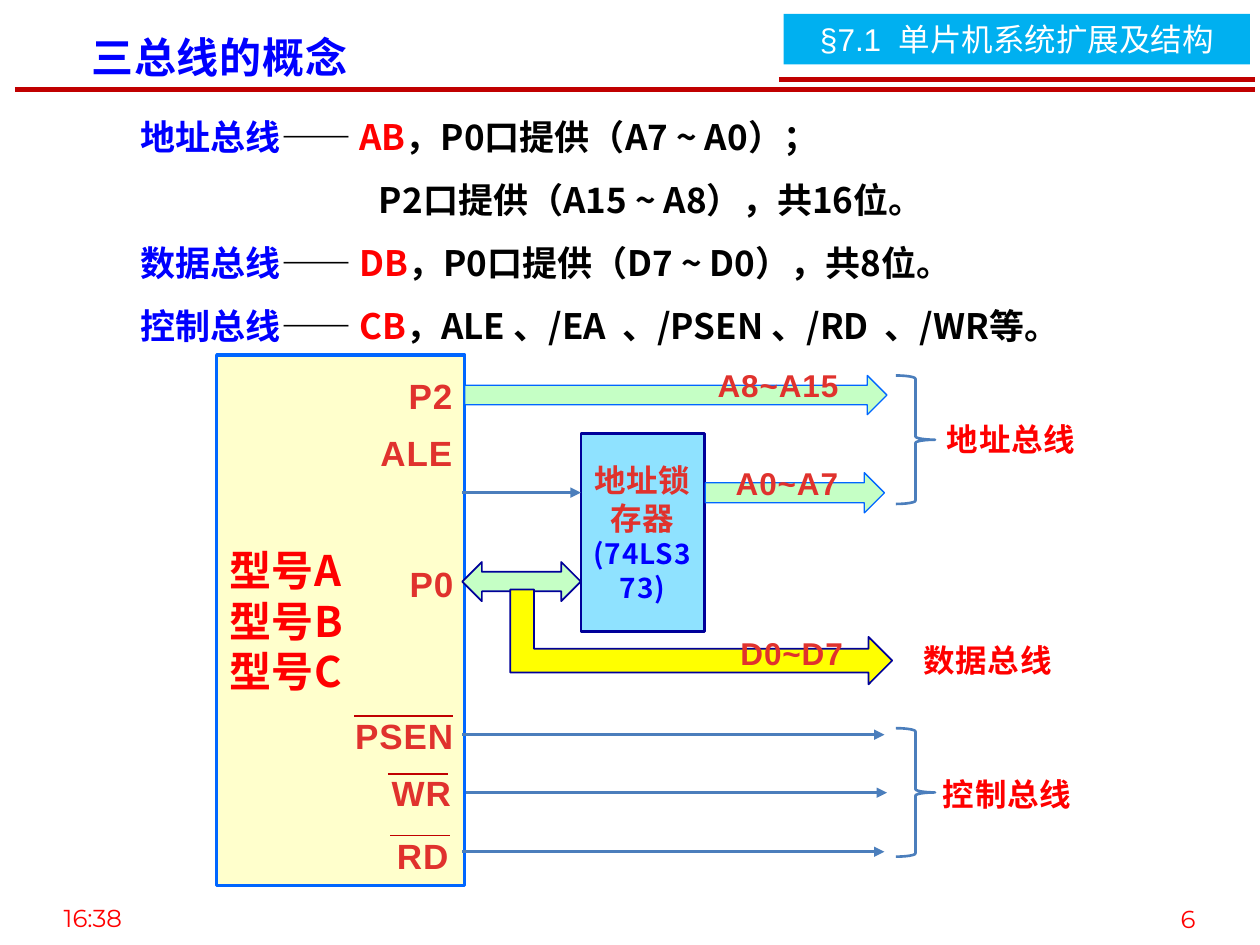
from lxml import etree
from pptx import Presentation
from pptx.dml.color import RGBColor
from pptx.enum import shapes, text
from pptx.oxml.ns import qn
from pptx.util import Cm, Pt

RED, BLUE = RGBColor(255, 0, 0), RGBColor(0, 0, 255)
BLACK, WHITE = RGBColor(0, 0, 0), RGBColor(255, 255, 255)
BRICK, CRIMSON = RGBColor(0xE0, 0x32, 0x2D), RGBColor(0xC0, 0, 0)
STEEL, AZURE = RGBColor(0x4B, 0x7E, 0xBC), RGBColor(0, 0x66, 255)
NAVY, SKY = RGBColor(0, 0, 0x99), RGBColor(0, 0xB0, 0xF0)
CREAM, MINT = RGBColor(255, 255, 0xCC), RGBColor(0xC5, 255, 0xC5)
ICE, YELLOW = RGBColor(0x8F, 0xE2, 255), RGBColor(255, 255, 0)

CJK, LATIN, FOOTER = "Noto Sans CJK SC", "Arial", "Montserrat"
KIND, ALIGN, ANCHOR = shapes.MSO_SHAPE, text.PP_ALIGN, text.MSO_ANCHOR

# Runs are (text, colour) pairs, one list per paragraph
SUMMARY = [
    [("地址总线", BLUE), ("—— ", BLACK), ("AB", RED), ("，P0口提供（A7 ~ A0）；", BLACK)],
    [("P2口提供（A15 ~ A8），共16位。", BLACK)],
    [("数据总线", BLUE), ("—— ", BLACK), ("DB", RED), ("，P0口提供（D7 ~ D0），共8位。", BLACK)],
    [("控制总线", BLUE), ("—— ", BLACK), ("CB", RED),
     ("，ALE 、/EA  、/PSEN 、/RD  、/WR等。", BLACK)],
]
CHIPS = ["型号A", "型号B", "型号C"]

# name, top, right edge, overline (left, right, y)
PINS = [
    ("P2", 7.54, 9.12, None),
    ("ALE", 8.69, 9.12, None),
    ("P0", 11.33, 9.14, None),
    ("PSEN", 14.4, 9.14, (7.14, 9.14, 14.43)),
    ("WR", 15.54, 9.09, (7.82, 9.04, 15.6)),
    ("RD", 16.81, 9.04, (7.87, 9.07, 16.84)),
]
# kind, position, fill, line colour, line width, rotation
BUS_ARROWS = [
    (KIND.RIGHT_ARROW, (9.37, 7.57, 8.51, 0.79), MINT, AZURE, 0.75, 0),
    (KIND.LEFT_RIGHT_ARROW, (9.32, 11.33, 2.39, 0.79), MINT, NAVY, 1, 0),
    (KIND.RIGHT_ARROW, (14.22, 9.53, 3.61, 0.81), MINT, AZURE, 0.75, 0),
    (KIND.BENT_UP_ARROW, (13.18, 8.99, 1.91, 7.7), YELLOW, NAVY, 1, 90),
]
# left, right, y
SIGNALS = [(9.32, 11.71, 9.93), (9.32, 17.83, 14.81), (9.4, 17.88, 15.98), (9.32, 17.83, 17.17)]
BRACE_TOPS = [7.57, 14.68]
# text, left, top, width, colour
BUS_LABELS = [
    ("A8~A15", 14.25, 7.37, 2.87, BRICK),
    ("A0~A7", 14.43, 9.35, 2.87, BRICK),
    ("D0~D7", 14.88, 12.78, 2.16, BRICK),
    ("地址总线", 18.95, 8.46, 2.87, RED),
    ("数据总线", 18.47, 12.93, 2.87, RED),
    ("控制总线", 18.87, 15.62, 2.87, RED),
]


def add_run(para, content, color, size, font=LATIN, bold=True, spacing=0.5):
    span = para.add_run()
    span.text = content
    values = {"name": font, "size": Pt(size), "bold": bold}
    for name, value in values.items():
        setattr(span.font, name, value)
    span.font.color.rgb = color
    props = span.font._element
    if spacing:
        props.set("spc", str(int(spacing * 100)))
    etree.SubElement(props, qn("a:ea")).set("typeface", CJK)


def set_frame(shape, anchor=ANCHOR.TOP, inset=True, wrap=True):
    frame = shape.text_frame
    frame.word_wrap = wrap
    frame.vertical_anchor = anchor
    if not inset:
        for side in ("left", "top", "right", "bottom"):
            setattr(frame, "margin_" + side, 0)
    return frame


def add_label(content, place, color, size, align=ALIGN.CENTER, **style):
    """Add a one-line text box without insets."""
    box = slide.shapes.add_textbox(*map(Cm, place))
    para = set_frame(box, ANCHOR.MIDDLE, inset=False).paragraphs[0]
    para.alignment = align
    add_run(para, content, color, size, **style)


def add_shape(kind, place, fill=None, line=None, width=1.0):
    shape = slide.shapes.add_shape(kind, *map(Cm, place))
    shape.shadow.inherit = False
    if fill is None:
        shape.fill.background()
    else:
        shape.fill.solid()
        shape.fill.fore_color.rgb = fill
    if line is None:
        shape.line.fill.background()
    else:
        shape.line.color.rgb = line
        shape.line.width = Pt(width)
    return shape


def add_line(left, right, y, color, width, arrow=False):
    line = slide.shapes.add_connector(
        shapes.MSO_CONNECTOR.STRAIGHT, Cm(left), Cm(y), Cm(right), Cm(y))
    line.line.color.rgb = color
    line.line.width = Pt(width)
    if arrow:
        etree.SubElement(line.line._get_or_add_ln(), qn("a:tailEnd")).set("type", "triangle")
    etree.SubElement(line._element.spPr, qn("a:effectLst"))


deck = Presentation()
deck.slide_width, deck.slide_height = Cm(25.4), Cm(19.05)
slide = deck.slides.add_slide(deck.slide_layouts[6])

# Page frame
add_label("16:38", (0.58, 18.06, 2.59, 0.89), RED, 14, font=FOOTER, bold=False, spacing=0)
add_label("6", (23.01, 18.08, 1.88, 0.89), RED, 14, font=FOOTER, bold=False, spacing=0)
banner = add_shape(KIND.RECTANGLE, (15.8, 0.28, 9.4, 1.02), SKY)
para = set_frame(banner, ANCHOR.MIDDLE).paragraphs[0]
para.alignment = ALIGN.CENTER
add_run(para, "§7.1  单片机系统扩展及结构", WHITE, 18, bold=False, spacing=0)
add_line(0.3, 25.3, 1.8, CRIMSON, 3)
add_line(15.7, 25.3, 1.6, CRIMSON, 3)

# Microcontroller and its pins
chip = add_shape(KIND.RECTANGLE, (4.37, 7.16, 5, 10.69), CREAM, AZURE, 2)
frame = set_frame(chip, ANCHOR.MIDDLE)
for index, name in enumerate(CHIPS):
    para = frame.add_paragraph() if index else frame.paragraphs[0]
    para.alignment = ALIGN.LEFT
    add_run(para, name, RED, 24, CJK)
for name, top, right, overline in PINS:
    add_label(name, (right - 2.2, top, 2.2, 0.86), BRICK, 20, ALIGN.RIGHT)
    if overline:
        add_line(*overline, CRIMSON, 1)

# Latch, buses and control signals
latch = add_shape(KIND.RECTANGLE, (11.71, 8.74, 2.49, 3.99), ICE, NAVY, 1.5)
para = set_frame(latch, ANCHOR.MIDDLE).paragraphs[0]
para.alignment = ALIGN.CENTER
add_run(para, "地址锁存器", BRICK, 18, CJK)
add_run(para, "(74LS373)", BLUE, 16, CJK)
for kind, place, fill, line, width, rotation in BUS_ARROWS:
    add_shape(kind, place, fill, line, width).rotation = rotation
for left, right, y in SIGNALS:
    add_line(left, right, y, STEEL, 1.5, arrow=True)
for top in BRACE_TOPS:
    add_shape(KIND.RIGHT_BRACE, (18.06, top, 0.79, 2.59), line=STEEL, width=1.5)
for name, left, top, width, color in BUS_LABELS:
    add_label(name, (left, top, width, 0.76), color, 18)

# Summary and title
box = slide.shapes.add_textbox(Cm(2.59), Cm(1.78), Cm(20.62), Cm(5.38))
frame = set_frame(box)
frame.margin_right = Cm(0.9)
for index, runs in enumerate(SUMMARY):
    para = frame.add_paragraph() if index else frame.paragraphs[0]
    para.line_spacing = 1.5
    if len(runs) == 1:
        para._p.get_or_add_pPr().set("marL", str(Cm(4.8)))
    for content, color in runs:
        add_run(para, content, color, 20, CJK, spacing=0)
title = slide.shapes.add_textbox(Cm(1.59), Cm(0), Cm(5.74), Cm(1.63))
para = set_frame(title, wrap=False).paragraphs[0]
para.line_spacing = 1.5
add_run(para, "三总线的概念", BLUE, 24, CJK)

deck.save("out.pptx")
